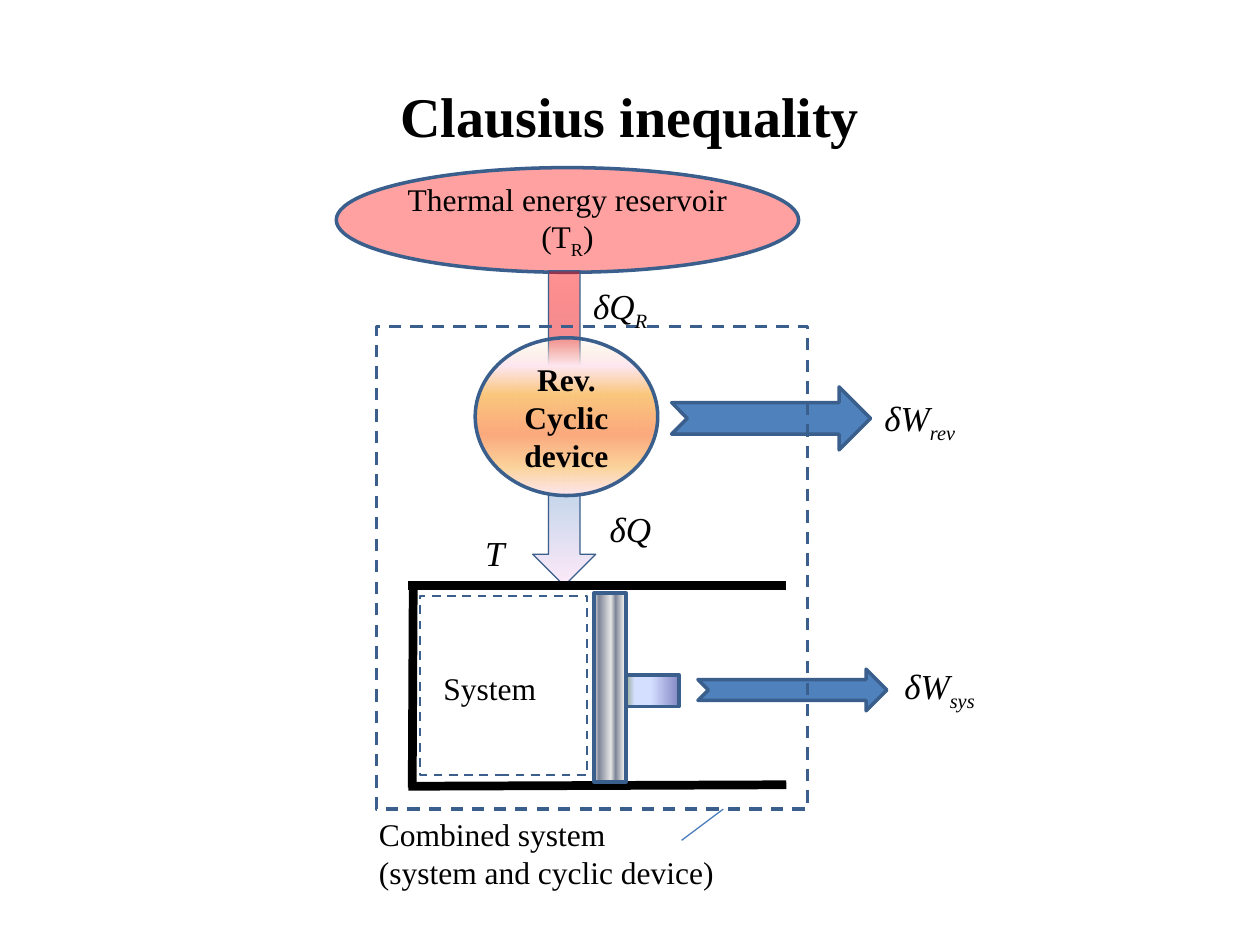
import pptx
import pptx.util
import pptx.dml.color
import pptx.enum.dml
import pptx.enum.shapes
import pptx.enum.text
import pptx.oxml.ns
from lxml import etree

Cm = pptx.util.Cm
Pt = pptx.util.Pt
qn = pptx.oxml.ns.qn
PRESET = pptx.enum.shapes.MSO_SHAPE
CENTER = pptx.enum.text.PP_ALIGN.CENTER
OUTLINE = "3A5F8C"


def colour(hex_value):
    return pptx.dml.color.RGBColor.from_string(hex_value)


def add_part(preset, box, fill, width, rotation=0, dashed=False):
    shape = slide.shapes.add_shape(preset, *[Cm(value) for value in box])
    shape.shadow.inherit = False
    shape.rotation = rotation
    shape.line.color.rgb = colour(OUTLINE)
    shape.line.width = Pt(width)
    if dashed:
        shape.line.dash_style = pptx.enum.dml.MSO_LINE.DASH
    if fill is None:
        shape.fill.background()
    elif isinstance(fill, str):
        shape.fill.solid()
        shape.fill.fore_color.rgb = colour(fill)
    else:
        shape.fill.gradient()
        shape.fill.gradient_angle = 270
        stops = shape._element.spPr.find(".//" + qn("a:gsLst"))
        for stop in list(stops):
            stops.remove(stop)
        for position, hex_value, opacity in fill:
            stop = etree.SubElement(stops, qn("a:gs"), pos=str(position * 1000))
            tint = etree.SubElement(stop, qn("a:srgbClr"), val=hex_value)
            etree.SubElement(tint, qn("a:alpha"), val=str(opacity * 1000))
    return shape


presentation = pptx.Presentation()
presentation.slide_width = Cm(25.4)
presentation.slide_height = Cm(19.05)
slide = presentation.slides.add_slide(presentation.slide_layouts[5])

title = slide.shapes.title
title.left, title.top, title.width, title.height = Cm(1.27), Cm(1.09), Cm(22.86), Cm(2.46)

reservoir = add_part(PRESET.OVAL, (6.78, 3.38, 9.32, 2.11), "FF0000", 2)
reservoir_tint = reservoir._element.spPr.find(qn("a:solidFill")).find(qn("a:srgbClr"))
etree.SubElement(reservoir_tint, qn("a:alpha"), val="37000")

heat_stops = [(0, "5E9EFF", 100), (0, "FF0000", 42), (70, "C4D6EB", 100), (100, "FFEBFA", 100)]
device_stops = [(0, "FBEAC7", 0), (18, "FEE7F2", 100), (36, "FAC77D", 100),
                (61, "FBA97D", 100), (82, "FBD49C", 100), (100, "FEE7F2", 100)]
piston_stops = [(0, "FFFFFF", 100), (7, "E6E6E6", 100), (32, "7D8496", 100),
                (47, "E6E6E6", 100), (85, "7D8496", 100), (100, "E6E6E6", 100)]
rod_stops = [(0, "8488C4", 100), (53, "D4DEFF", 100), (83, "D4DEFF", 100), (100, "96AB94", 100)]

add_part(PRESET.DOWN_ARROW, (10.74, 5.46, 1.27, 6.35), heat_stops, 0)
add_part(PRESET.NOTCHED_RIGHT_ARROW, (13.54, 7.8, 4.01, 1.27), "4F81BD", 2)
device = add_part(PRESET.FLOWCHART_CONNECTOR, (9.58, 6.81, 3.68, 3.18), device_stops, 2)

lines = [
    ((15.85, 11.81, 8.23, 11.81), "000000", 5),
    ((15.85, 15.82, 8.23, 15.85), "000000", 5),
    ((8.33, 11.84, 8.31, 15.88), "000000", 5),
    ((13.74, 16.94, 14.58, 16.31), "4B7EBC", 0.75),
]
for ends, hex_value, width in lines:
    connector = slide.shapes.add_connector(
        pptx.enum.shapes.MSO_CONNECTOR.STRAIGHT, *[Cm(value) for value in ends])
    connector.line.color.rgb = colour(hex_value)
    connector.line.width = Pt(width)
    etree.SubElement(connector._element.spPr, qn("a:effectLst"))

add_part(PRESET.RECTANGLE, (10.39, 13.54, 3.81, 0.64), piston_stops, 2, rotation=90)
add_part(PRESET.RECTANGLE, (12.83, 13.39, 0.64, 1.07), rod_stops, 2, rotation=90)
add_part(PRESET.NOTCHED_RIGHT_ARROW, (14.07, 13.49, 3.81, 0.84), "4F81BD", 2)
add_part(PRESET.RECTANGLE, (8.46, 12.01, 3.38, 3.61), None, 1.25, dashed=True)
add_part(PRESET.RECTANGLE, (7.59, 6.58, 8.69, 9.73), None, 1.75, dashed=True)

for shape in (reservoir, device):
    frame = shape.text_frame
    frame.word_wrap = True
    frame.margin_left = frame.margin_top = frame.margin_right = frame.margin_bottom = 0
    frame.vertical_anchor = pptx.enum.text.MSO_ANCHOR.MIDDLE

texts = [
    (title, [["Clausius inequality"]], 32, True, False, CENTER),
    (reservoir, [["Thermal energy reservoir (T", "R", ")"]], 18, False, False, CENTER),
    (device, [["Rev."], ["Cyclic"], ["device"]], 18, True, False, CENTER),
]
labels = [
    ((11.71, 5.61, 2.46, 1.12), [["δQ", "R"]], 20),
    ((17.58, 7.87, 1.98, 1.12), [["δW", "rev"]], 20),
    ((12.04, 10.11, 1.37, 1.12), [["δQ"]], 20),
    ((17.98, 13.28, 2.01, 1.12), [["δW", "sys"]], 20),
    ((9.53, 10.59, 0.91, 1.12), [["T"]], 20),
    ((8.69, 13.36, 2.41, 1.02), [["System"]], 18),
    ((7.39, 16.31, 7.34, 1.8), [["Combined system"], ["(system and cyclic device)"]], 18),
]
for box, paragraphs, size in labels:
    label = slide.shapes.add_textbox(*[Cm(value) for value in box])
    label.text_frame.word_wrap = False
    label.text_frame.auto_size = pptx.enum.text.MSO_AUTO_SIZE.SHAPE_TO_FIT_TEXT
    texts.append((label, paragraphs, size, False, size == 20, pptx.enum.text.PP_ALIGN.LEFT))

for shape, paragraphs, size, bold, italic, alignment in texts:
    frame = shape.text_frame
    for number, pieces in enumerate(paragraphs):
        paragraph = frame.add_paragraph() if number else frame.paragraphs[0]
        paragraph.alignment = alignment
        for index, piece in enumerate(pieces):
            run = paragraph.add_run()
            run.text = piece
            run.font.name = "Times New Roman"
            run.font.size = Pt(size)
            run.font.bold = bold
            run.font.italic = italic
            run.font.color.rgb = colour("000000")
            if index == 1:
                run._r.get_or_add_rPr().set("baseline", "-25000")

presentation.save("out.pptx")
